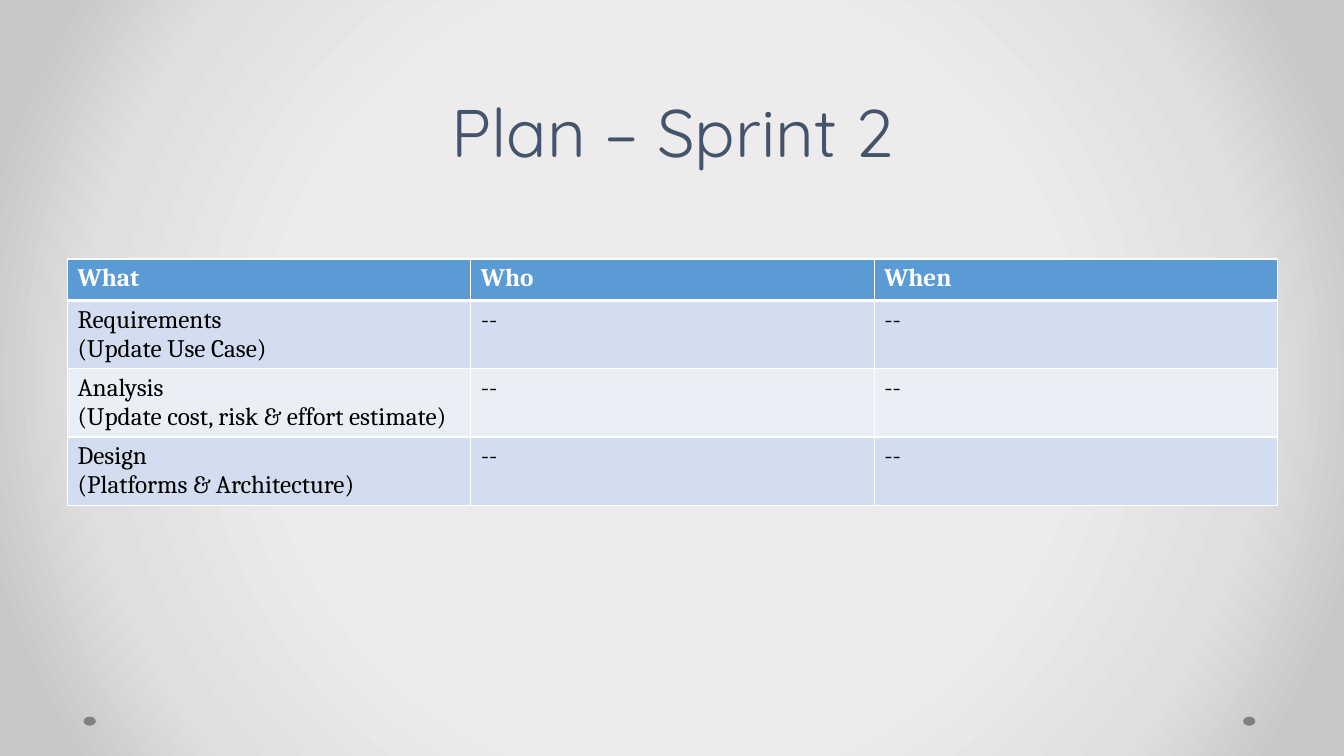
from pptx import Presentation
from pptx.dml.color import RGBColor
from pptx.enum.shapes import MSO_SHAPE
from pptx.enum.text import MSO_ANCHOR, MSO_AUTO_SIZE, PP_ALIGN
from pptx.oxml import parse_xml
from pptx.oxml.ns import nsdecls
from pptx.util import Inches, Pt

ELLIPSE = MSO_SHAPE.OVAL
BOTTOM = MSO_ANCHOR.BOTTOM
CENTER = PP_ALIGN.CENTER
NO_AUTOFIT = MSO_AUTO_SIZE.NONE

COLORS = {
    "title": "44546A",
    "header": "5B9BD5",
    "band_dark": "D2DEEF",
    "band_light": "EAEFF7",
    "white": "FFFFFF",
    "black": "000000",
    "dot": "808080",
}
BACKDROP_STOPS = [(50, "EDEBEB"), (76, "E0DEDE"), (92, "C9C7C7")]

PLAN = [
    ["What", "Who", "When"],
    ["Requirements\n(Update Use Case)", "--", "--"],
    ["Analysis\n(Update cost, risk & effort estimate)", "--", "--"],
    ["Design\n(Platforms & Architecture)", "--", "--"],
]


def rgb(color):
    return RGBColor.from_string(COLORS[color])


def write_text(frame, text, font="Cambria", size=18, color="black",
               bold=False, align=None, spacing=None):
    """Fill a text frame, one paragraph per line of text."""
    frame.text = text
    for paragraph in frame.paragraphs:
        if align is not None:
            paragraph.alignment = align
        if spacing is not None:
            paragraph.line_spacing = Pt(spacing)
        for run in paragraph.runs:
            run.font.name = font
            run.font.size = Pt(size)
            run.font.bold = bold
            run.font.color.rgb = rgb(color)


class PlanSlide:
    def __init__(self, presentation):
        self.slide = presentation.slides.add_slide(presentation.slide_layouts[5])

    def backdrop(self, stops):
        """Set a radial gradient, stops given in percent from the centre."""
        stop_xml = "".join(
            f'<a:gs pos="{position * 1000}"><a:srgbClr val="{color}"/></a:gs>'
            for position, color in stops)
        self.slide.element.cSld.insert(0, parse_xml(
            f'<p:bg {nsdecls("p", "a")}><p:bgPr><a:gradFill rotWithShape="1">'
            f'<a:gsLst>{stop_xml}</a:gsLst><a:path path="circle">'
            '<a:fillToRect l="50000" t="50000" r="50000" b="50000"/></a:path>'
            '</a:gradFill><a:effectLst/></p:bgPr></p:bg>'))

    def dot(self, left, top):
        dot = self.slide.shapes.add_shape(
            ELLIPSE, Inches(left), Inches(top), Inches(0.12), Inches(0.09))
        dot.shadow.inherit = False
        dot.fill.solid()
        dot.fill.fore_color.rgb = rgb("dot")
        dot.line.fill.background()

    def title(self, text, left, top, width, height):
        title = self.slide.shapes.title
        title.left, title.top = Inches(left), Inches(top)
        title.width, title.height = Inches(width), Inches(height)
        frame = title.text_frame
        frame.auto_size = NO_AUTOFIT
        frame.vertical_anchor = BOTTOM
        write_text(frame, text, font="Quicksand", size=48, color="title",
                   align=CENTER, spacing=48)

    def borders(self, cell, top, bottom):
        """Draw white cell borders; top and bottom are widths in points."""
        properties = cell._tc.get_or_add_tcPr()
        sides = {"lnL": 1, "lnR": 1, "lnT": top, "lnB": bottom}
        for index, (side, width) in enumerate(sides.items()):
            properties.insert(index, parse_xml(
                f'<a:{side} {nsdecls("a")} w="{Pt(width)}"><a:solidFill>'
                f'<a:srgbClr val="{COLORS["white"]}"/></a:solidFill></a:{side}>'))

    def table(self, rows, left, top, column_width, row_height):
        columns = len(rows[0])
        table = self.slide.shapes.add_table(
            len(rows), columns, Inches(left), Inches(top),
            Inches(column_width * columns), Inches(row_height * len(rows))).table
        for column in table.columns:
            column.width = Inches(column_width)
        for row_index, row in enumerate(rows):
            table.rows[row_index].height = Inches(row_height)
            is_header = row_index == 0
            band = "band_dark" if row_index % 2 else "band_light"
            for column_index, text in enumerate(row):
                cell = table.cell(row_index, column_index)
                write_text(cell.text_frame, text, bold=is_header,
                           color="white" if is_header else "black")
                cell.fill.solid()
                cell.fill.fore_color.rgb = rgb("header" if is_header else band)
                self.borders(cell, top=3 if row_index == 1 else 1,
                             bottom=3 if is_header else 1)


def main():
    presentation = Presentation()
    presentation.slide_width = Inches(13.33)
    presentation.slide_height = Inches(7.5)
    plan = PlanSlide(presentation)
    plan.backdrop(BACKDROP_STOPS)
    for left in (12.33, 0.83):
        plan.dot(left, 7.11)
    plan.title("Plan – Sprint 2", 0.67, 0, 12, 1.75)
    plan.table(PLAN, 0.67, 2.57, column_width=4, row_height=0.41)
    presentation.save("out.pptx")


if __name__ == "__main__":
    main()
